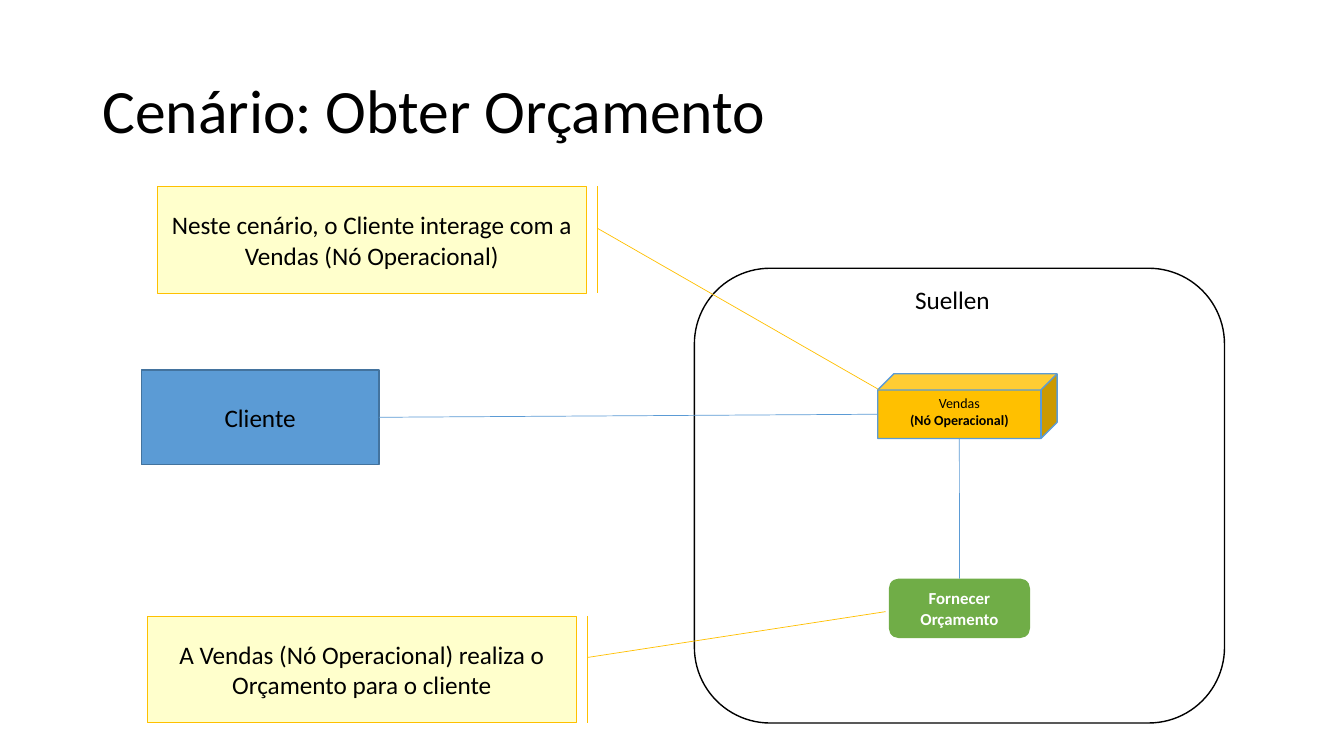
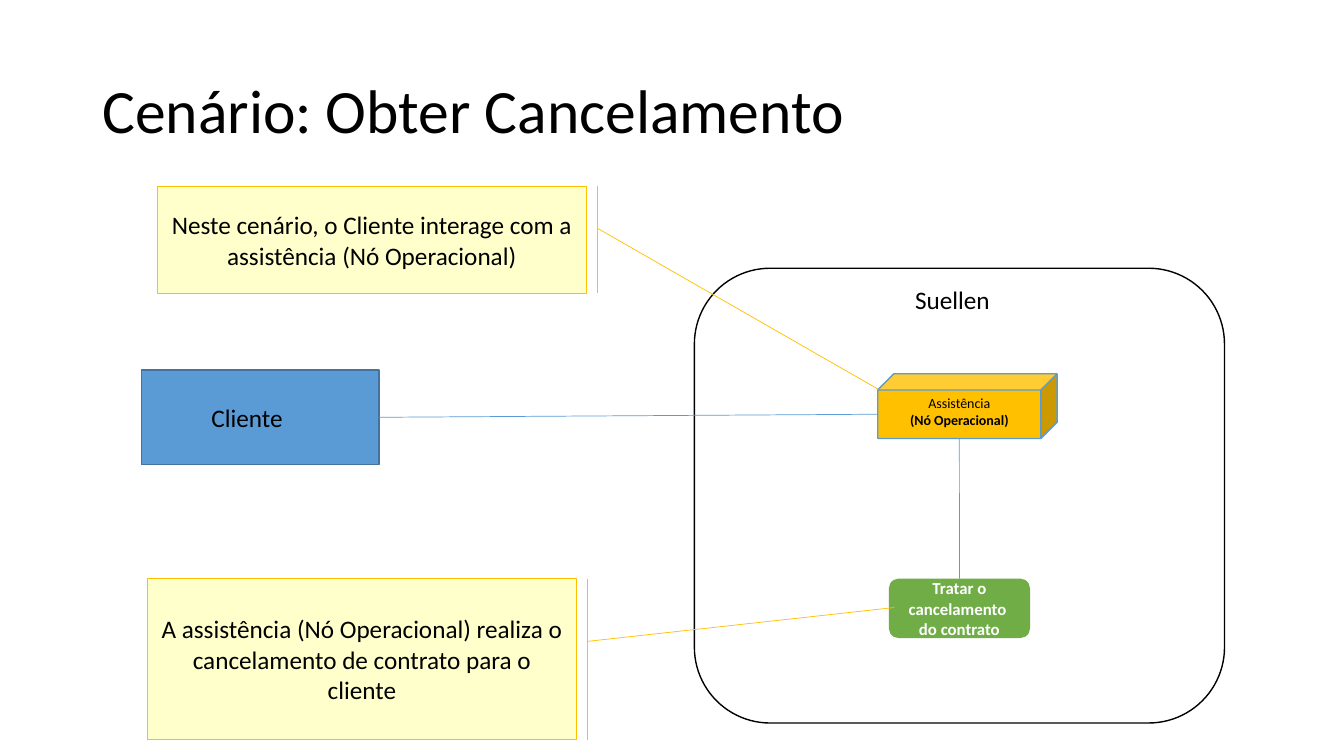
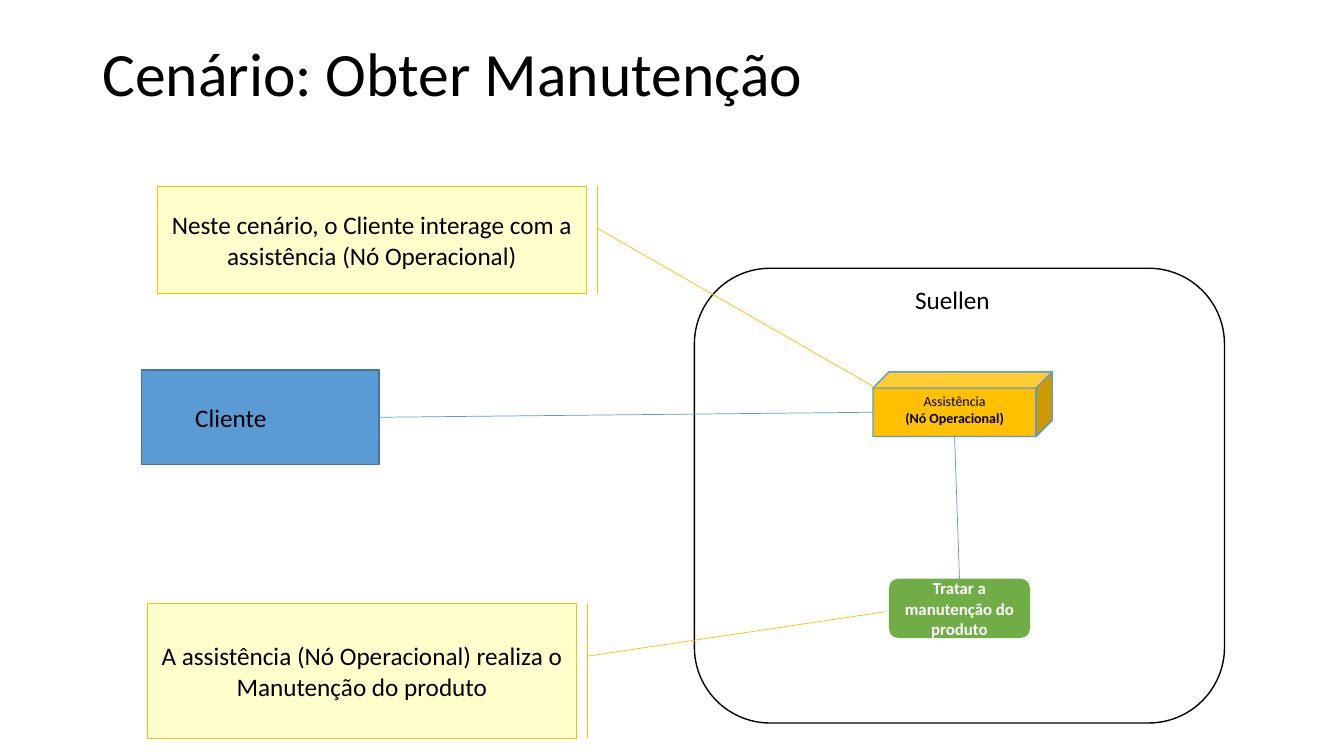
from copy import deepcopy

from lxml.etree import SubElement
from pptx import Presentation
from pptx.dml.color import RGBColor
from pptx.enum.shapes import MSO_CONNECTOR, MSO_SHAPE
from pptx.enum.text import MSO_ANCHOR, PP_ALIGN
from pptx.oxml.ns import qn
from pptx.util import Cm, Pt

FONT = "Calibri"
COLORS = {
    "black": "000000",
    "white": "FFFFFF",
    "client": "5B9BD5",
    "client_edge": "43739E",
    "node": "FFC000",
    "activity": "70AD47",
    "note": "FFFFCC",
}

# Boxes are (left, top, width, height) in centimetres.
TITLE_BOX = (2.33, 1.02, 29.21, 3.68)
COMPANY_BOX = (17.5, 6.76, 13.36, 11.46)
COMPANY_LABEL_BOX = (22.81, 7.04, 2.72, 1.02)
CLIENT_BOX = (3.56, 9.32, 5.99, 2.39)
CLIENT_LABEL_TOP, CLIENT_LABEL_HEIGHT = 10.01, 1.02
NODE_SIZE = (4.52, 1.63)
CUBE_DEPTH = 0.25 * NODE_SIZE[1]
ACTIVITY_BOX = (22.4, 14.58, 3.56, 1.5)
INTERACTION_BOX = (3.96, 4.7, 10.82, 2.69)
RESULT_LEFT, RESULT_WIDTH = 3.71, 10.82

# Note pointers: start and end as (y, x) fractions of the note size.
POINTER_START = (0.39, 1.025)
INTERACTION_POINTER = (1.9, 1.68)

SCENARIOS = [
    {
        "title": "Cenário: Obter Orçamento",
        "title_bottom": 0.13,
        "client_label": (5.41, 2.92),
        "node": "Vendas",
        "node_at": (22.12, 9.42),
        "activity": "Fornecer Orçamento",
        "interaction": "Neste cenário, o Cliente interage com a Vendas (Nó Operacional)",
        "result": "A Vendas (Nó Operacional) realiza o Orçamento para o cliente",
        "result_span": (15.52, 2.69),
        "result_pointer": (-0.04, 1.72),
    },
    {
        "title": "Cenário: Obter Cancelamento",
        "title_bottom": 0.13,
        "client_label": (5.08, 2.92),
        "node": "Assistência",
        "node_at": (22.12, 9.42),
        "activity": "Tratar o cancelamento \vdo contrato",
        "interaction": "Neste cenário, o Cliente interage com a assistência (Nó Operacional)",
        "result": "A assistência (Nó Operacional) realiza o cancelamento de contrato para o cliente",
        "result_span": (14.58, 4.06),
        "result_pointer": (0.18, 1.74),
    },
    {
        "title": "Cenário: Obter Manutenção",
        "title_bottom": 1.98,
        "client_label": (4.67, 3.76),
        "node": "Assistência",
        "node_at": (22, 9.37),
        "activity": "Tratar a manutenção do produto",
        "interaction": "Neste cenário, o Cliente interage com a assistência (Nó Operacional)",
        "result": "A assistência (Nó Operacional) realiza o Manutenção do produto",
        "result_span": (15.21, 3.4),
        "result_pointer": (0.06, 1.72),
    },
]


def rgb(name):
    """Return the named colour."""
    return RGBColor.from_string(COLORS[name])


def put_text(shape, *lines, size=18, color="black", bold=False,
             align=PP_ALIGN.CENTER, anchor=MSO_ANCHOR.MIDDLE, spacing=None):
    """Write one paragraph per line into a shape."""
    frame = shape.text_frame
    frame.word_wrap = True
    frame.vertical_anchor = anchor
    for index, line in enumerate(lines):
        paragraph = frame.add_paragraph() if index else frame.paragraphs[0]
        paragraph.text = line
        paragraph.alignment = align
        paragraph.line_spacing = spacing
        for run in paragraph.runs:
            run.font.name = FONT
            run.font.size = Pt(size)
            run.font.bold = bold
            run.font.color.rgb = rgb(color)
        for line_break in paragraph._p.findall(qn("a:br")):
            line_break.append(deepcopy(paragraph.runs[0]._r.rPr))
    return frame


def add_label(slide, box, text, **style):
    """Add a left-aligned text box."""
    label = slide.shapes.add_textbox(*map(Cm, box))
    return put_text(label, text, align=PP_ALIGN.LEFT, **style)


def add_box(slide, kind, box, fill, line=None, width=1):
    """Add a filled preset shape with an optional outline."""
    shape = slide.shapes.add_shape(kind, *map(Cm, box))
    shape.shadow.inherit = False
    shape.fill.solid()
    shape.fill.fore_color.rgb = rgb(fill)
    if line:
        shape.line.color.rgb = rgb(line)
        shape.line.width = Pt(width)
    else:
        shape.line.fill.background()
    return shape


def add_link(slide, start, end):
    """Add a thin straight link between two points."""
    link = slide.shapes.add_connector(MSO_CONNECTOR.STRAIGHT, *map(Cm, start + end))
    link.line.color.rgb = rgb("client")
    link.line.width = Pt(0.5)
    SubElement(link._element.spPr, qn("a:effectLst"))


def add_note(slide, box, text, pointer):
    """Add a yellow note with its pointer."""
    note = add_box(slide, MSO_SHAPE.LINE_CALLOUT_1_BORDER_AND_ACCENT_BAR, box,
                   "note", "node", 0.5)
    for index, value in enumerate(POINTER_START + pointer):
        note.adjustments[index] = value
    put_text(note, text)


def add_scenario(presentation, scenario):
    """Build the slide of one scenario."""
    slide = presentation.slides.add_slide(presentation.slide_layouts[6])
    title = add_label(slide, TITLE_BOX, scenario["title"], size=44, spacing=0.9)
    title.margin_bottom = Cm(scenario["title_bottom"])

    add_box(slide, MSO_SHAPE.ROUNDED_RECTANGLE, COMPANY_BOX, "white", "black")
    add_label(slide, COMPANY_LABEL_BOX, "Suellen", anchor=MSO_ANCHOR.TOP)

    add_box(slide, MSO_SHAPE.RECTANGLE, CLIENT_BOX, "client", "client_edge")
    label_left, label_width = scenario["client_label"]
    add_label(slide, (label_left, CLIENT_LABEL_TOP, label_width, CLIENT_LABEL_HEIGHT),
              "Cliente", anchor=MSO_ANCHOR.TOP)

    node_left, node_top = scenario["node_at"]
    node_width, node_height = NODE_SIZE
    client_left, client_top, client_width, client_height = CLIENT_BOX
    add_link(slide, (client_left + client_width, client_top + client_height / 2),
             (node_left, node_top + (node_height + CUBE_DEPTH) / 2))

    node = add_box(slide, MSO_SHAPE.CUBE, scenario["node_at"] + NODE_SIZE, "node", "client")
    frame = put_text(node, scenario["node"], "(Nó Operacional)", size=10,
                     anchor=MSO_ANCHOR.TOP)
    frame.paragraphs[1].runs[0].font.bold = True

    activity = add_box(slide, MSO_SHAPE.ROUNDED_RECTANGLE, ACTIVITY_BOX, "activity")
    put_text(activity, scenario["activity"], size=12, color="white", bold=True)

    add_note(slide, INTERACTION_BOX, scenario["interaction"], INTERACTION_POINTER)
    result_top, result_height = scenario["result_span"]
    add_note(slide, (RESULT_LEFT, result_top, RESULT_WIDTH, result_height),
             scenario["result"], scenario["result_pointer"])

    activity_left, activity_top, activity_width, _ = ACTIVITY_BOX
    add_link(slide, (activity_left + activity_width / 2, activity_top),
             (node_left + (node_width - CUBE_DEPTH) / 2, node_top + node_height))


presentation = Presentation()
presentation.slide_width = Cm(33.87)
presentation.slide_height = Cm(19.05)
for scenario in SCENARIOS:
    add_scenario(presentation, scenario)
presentation.save("out.pptx")
